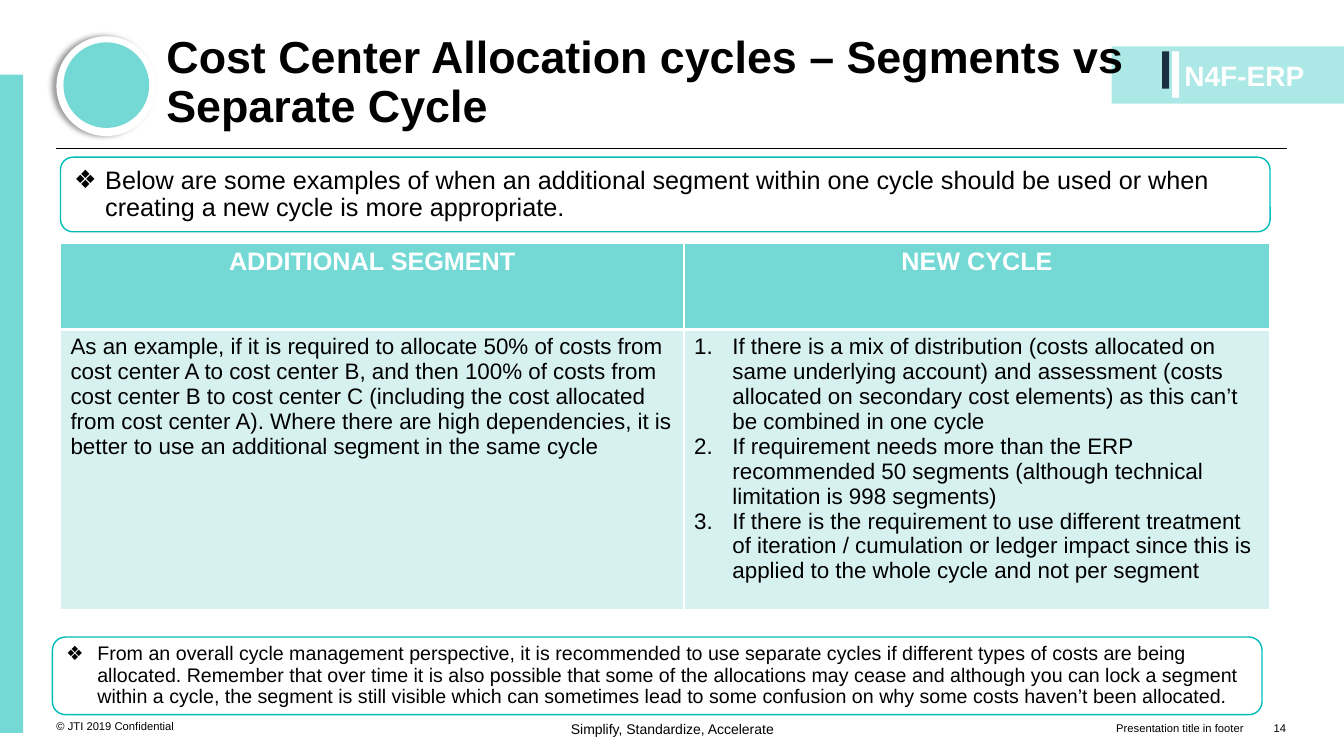
"""Build the slide on cost center allocation cycles."""
from dataclasses import dataclass
from typing import Optional

from lxml.etree import SubElement
from pptx import Presentation
from pptx.dml.color import RGBColor
from pptx.enum.shapes import MSO_CONNECTOR, MSO_SHAPE
from pptx.enum.text import MSO_ANCHOR, PP_ALIGN
from pptx.oxml.ns import qn
from pptx.util import Inches, Pt

WIDE, HIGH = Inches(13.333), Inches(7.5)
FONT = "Arial"
HUES = {
    "black": "000000", "white": "FFFFFF", "teal": "74D9D5", "edge": "00BDB7",
    "pale": "D6F1EF", "mint": "ACE8E6", "navy": "1A3040",
}


@dataclass(frozen=True)
class Area:
    """Place on the slide, in percent of its width and height."""
    left: float
    top: float
    width: float
    height: float


@dataclass(frozen=True)
class Block:
    """Plain filled shape."""
    kind: MSO_SHAPE
    area: Area
    fill: str
    shade: bool = False
    curve: Optional[float] = None


@dataclass(frozen=True)
class Style:
    """Look of a run and its paragraph."""
    size: float
    hue: str = "black"
    bold: bool = False
    align: PP_ALIGN = PP_ALIGN.LEFT
    lead: float = 1.0


@dataclass(frozen=True)
class Label:
    """Text without a frame."""
    text: str
    area: Area
    style: Style
    base: MSO_ANCHOR = MSO_ANCHOR.TOP


@dataclass(frozen=True)
class Note:
    """Outlined box with one bullet."""
    text: str
    area: Area
    size: float


@dataclass(frozen=True)
class Entry:
    """Table cell."""
    lines: tuple[str, ...]
    fill: str
    style: Style
    count: bool = False


RECT, OVAL, ROUND = MSO_SHAPE.RECTANGLE, MSO_SHAPE.OVAL, MSO_SHAPE.ROUNDED_RECTANGLE
HEAD = Style(18, "white", True, PP_ALIGN.CENTER)
BODY = Style(16)
RIGHT = Style(8, align=PP_ALIGN.RIGHT)

BLOCKS = (
    Block(RECT, Area(82.72, 6.13, 17.28, 7.6), "mint"),
    Block(RECT, Area(86.47, 6.8, 0.52, 4.93), "navy"),
    Block(ROUND, Area(87.22, 6.8, 0.52, 6.13), "white", curve=0.07),
    Block(RECT, Area(0, 9.87, 1.72, 87.07), "teal"),
    Block(OVAL, Area(4.2, 4.8, 7.42, 13.2), "white", shade=True),
    Block(OVAL, Area(4.72, 5.6, 6.38, 11.33), "teal"),
)
LABELS = (
    Label("Cost Center Allocation cycles – Segments vs Separate Cycle",
          Area(12.38, 3.07, 73.05, 14.4), Style(32, bold=True, lead=0.9), MSO_ANCHOR.BOTTOM),
    Label("N4F-ERP", Area(88.12, 7.73, 9.38, 6.67), Style(20, "white", True)),
    Label("© JTI 2019 Confidential", Area(4.2, 91.6, 14.78, 5.33), Style(8), MSO_ANCHOR.BOTTOM),
    Label("Simplify, Standardize, Accelerate", Area(38.55, 95.33, 22.95, 4),
          Style(10, align=PP_ALIGN.CENTER)),
    Label("Presentation title in footer", Area(58.05, 91.87, 34.5, 5.33), RIGHT, MSO_ANCHOR.BOTTOM),
    Label("14", Area(92.47, 91.87, 3.23, 5.33), RIGHT, MSO_ANCHOR.BOTTOM),
)
NOTES = (
    Note("Below are some examples of when an additional segment within one cycle should be used "
         "or when creating a new cycle is more appropriate.", Area(4.5, 20.8, 90, 9.87), 18),
    Note("From an overall cycle management perspective, it is recommended to use separate cycles "
         "if different types of costs are being allocated. Remember that over time it is also "
         "possible that some of the allocations may cease and although you can lock a segment "
         "within a cycle, the segment is still visible which can sometimes lead to some confusion "
         "on why some costs haven’t been allocated.", Area(3.9, 84.27, 90, 10.27), 14),
)
GRID = Area(4.5, 32.13, 90, 48.54)
COLS, ROWS = (46.4, 43.6), (11.47, 37.07)
CELLS = (
    (Entry(("ADDITIONAL SEGMENT",), "teal", HEAD), Entry(("NEW CYCLE",), "teal", HEAD)),
    (Entry(("As an example, if it is required to allocate 50% of costs from cost center A to cost "
            "center B, and then 100% of costs from cost center B to cost center C (including the "
            "cost allocated from cost center A). Where there are high dependencies, it is better "
            "to use an additional segment in the same cycle",), "pale", BODY),
     Entry(("If there is a mix of distribution (costs allocated on same underlying account) and "
            "assessment (costs allocated on secondary cost elements) as this can’t be combined in "
            "one cycle",
            "If requirement needs more than the ERP recommended 50 segments (although technical "
            "limitation is 998 segments)",
            "If there is the requirement to use different treatment of iteration / cumulation or "
            "ledger impact since this is applied to the whole cycle and not per segment"),
           "pale", BODY, count=True)),
)
EDGES = ({"L": 1, "R": 1, "T": 1, "B": 3}, {"L": 1, "R": 1, "T": 3, "B": 1})


def tint(name: str) -> RGBColor:
    """Return a named colour."""
    return RGBColor.from_string(HUES[name])


def across(share: float) -> int:
    """Turn a share of the width into a length."""
    return round(WIDE * share / 100)


def down(share: float) -> int:
    """Turn a share of the height into a length."""
    return round(HIGH * share / 100)


def place(area: Area) -> tuple[int, int, int, int]:
    """Return the left, top, width and height of an area."""
    return across(area.left), down(area.top), across(area.width), down(area.height)


def mark(para, tag: str, indent: float, **attrs: str) -> None:
    """Give a paragraph a hanging bullet or number."""
    props = para._p.get_or_add_pPr()
    props.set("marL", str(Inches(indent)))
    props.set("indent", str(-Inches(indent)))
    SubElement(props, qn("a:buFont"), typeface=FONT)
    SubElement(props, qn(tag), **attrs)


def write(para, text: str, style: Style) -> None:
    """Add one run in the given style."""
    para.alignment, para.line_spacing = style.align, style.lead
    run = para.add_run()
    run.text = text
    font = run.font
    font.name, font.size, font.bold = FONT, Pt(style.size), style.bold
    font.color.rgb = tint(style.hue)


def draw(slide, block: Block):
    """Add a filled shape without a line."""
    shape = slide.shapes.add_shape(block.kind, *place(block.area))
    shape.shadow.inherit = False
    shape.fill.solid()
    shape.fill.fore_color.rgb = tint(block.fill)
    shape.line.fill.background()
    if block.curve is not None:
        shape.adjustments[0] = block.curve
    if block.shade:
        glow = SubElement(shape._element.spPr.find(qn("a:effectLst")), qn("a:outerShdw"),
                          blurRad=str(Pt(4)), dist=str(Pt(3)), dir="10800000", rotWithShape="0")
        hue = SubElement(glow, qn("a:srgbClr"), val=HUES["black"])
        SubElement(hue, qn("a:alpha"), val="40000")
    return shape


def rule(slide) -> None:
    """Add the line under the title."""
    line = slide.shapes.add_connector(MSO_CONNECTOR.STRAIGHT, across(4.2), down(19.6),
                                      across(95.78), down(19.6))
    line.line.color.rgb, line.line.width = tint("black"), Pt(0.75)
    SubElement(line._element.spPr, qn("a:effectLst"))


def label(slide, item: Label) -> None:
    """Add a text box without margins."""
    frame = slide.shapes.add_textbox(*place(item.area)).text_frame
    frame.word_wrap, frame.vertical_anchor = True, item.base
    frame.margin_left = frame.margin_right = frame.margin_top = frame.margin_bottom = 0
    write(frame.paragraphs[0], item.text, item.style)


def note(slide, item: Note) -> None:
    """Add an outlined box with a bullet."""
    shape = draw(slide, Block(ROUND, item.area, "white"))
    shape.line.color.rgb, shape.line.width = tint("edge"), Pt(1)
    shape.text_frame.word_wrap = True
    para = shape.text_frame.paragraphs[0]
    mark(para, "a:buChar", 0.31, char="❖")
    write(para, item.text, Style(item.size, lead=0.9))


def fill(cell, entry: Entry, edges: dict[str, int]) -> None:
    """Set the borders, fill and text of a cell."""
    props = cell._tc.get_or_add_tcPr()
    for side, width in edges.items():
        line = SubElement(props, qn(f"a:ln{side}"), w=str(Pt(width)))
        SubElement(SubElement(line, qn("a:solidFill")), qn("a:srgbClr"), val=HUES["white"])
    cell.fill.solid()
    cell.fill.fore_color.rgb = tint(entry.fill)
    frame = cell.text_frame
    for spot, text in enumerate(entry.lines):
        para = frame.add_paragraph() if spot else frame.paragraphs[0]
        if entry.count:
            mark(para, "a:buAutoNum", 0.38, type="arabicPeriod")
        write(para, text, entry.style)


def chart(slide) -> None:
    """Add the table of the two options."""
    table = slide.shapes.add_table(len(ROWS), len(COLS), *place(GRID)).table
    table.first_row = table.horz_banding = False
    for col, share in zip(table.columns, COLS):
        col.width = across(share)
    for row, share, cells, edges in zip(table.rows, ROWS, CELLS, EDGES):
        row.height = down(share)
        for cell, entry in zip(row.cells, cells):
            fill(cell, entry, edges)


def main() -> None:
    """Build and save the deck."""
    deck = Presentation()
    deck.slide_width, deck.slide_height = WIDE, HIGH
    slide = deck.slides.add_slide(deck.slide_layouts[6])
    rule(slide)
    for block in BLOCKS:
        draw(slide, block)
    for item in LABELS:
        label(slide, item)
    chart(slide)
    for item in NOTES:
        note(slide, item)
    deck.save("out.pptx")


if __name__ == "__main__":
    main()
